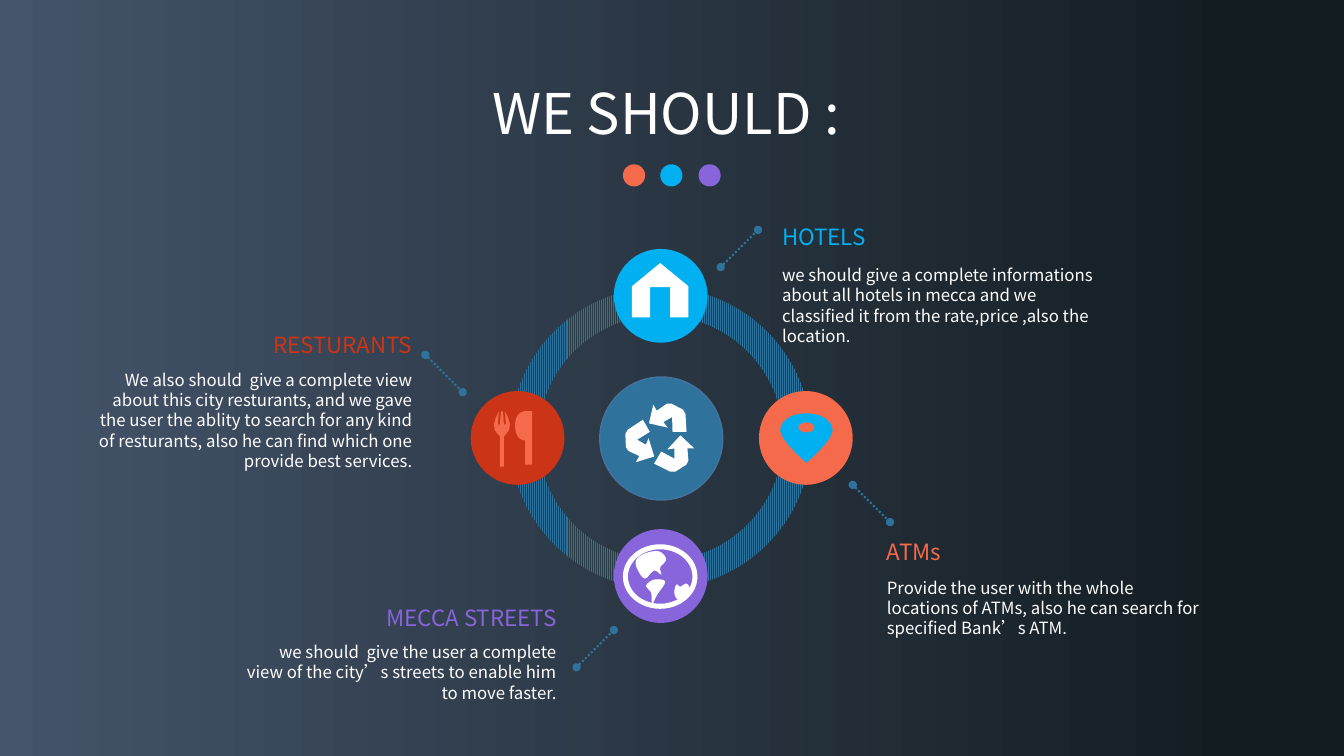
from collections import namedtuple
from copy import deepcopy
from math import cos, pi, sin

from lxml.etree import SubElement
from pptx import Presentation
from pptx.dml.color import RGBColor
from pptx.enum.dml import MSO_LINE as Dash, MSO_PATTERN as Pattern
from pptx.enum.shapes import MSO_CONNECTOR as Link, MSO_SHAPE as Form
from pptx.enum.text import MSO_ANCHOR as Anchor, MSO_AUTO_SIZE as Auto, PP_ALIGN as Align
from pptx.oxml.ns import qn
from pptx.util import Pt

PX = 9144
FONT = "Noto Sans CJK SC"
WHITE, STEEL, SKY = "FFFFFF", "2F729B", "00B0F0"
CORAL, VIOLET, RED = "F56A4A", "8865DB", "CB3416"
HUB = (656, 435)
LEAN = 37

Topic = namedtuple("Topic", "head hue disc dot slope edge top gap high align body")
TOPICS = [
    Topic("RESTURANTS", RED, (467, 388), (422, 352), 1, 419, 324, 38, 111, Align.RIGHT,
          "We also should  give a complete view about this city resturants, and we gave the user the "
          "ablity to search for any kind of resturants, also he can find which one provide best services."),
    Topic("MECCA STREETS", VIOLET, (609, 525), (572, 662), -1, 562, 594, 38, 71, Align.RIGHT,
          "we should  give the user a complete view of the city’s streets to enable him to move faster."),
    Topic("ATMs", CORAL, (753, 388), (846, 481), 1, 870, 529, 39, 71, Align.LEFT,
          "Provide the user with the whole locations of ATMs, also he can search for specified "
          "Bank’s ATM."),
    Topic("HOTELS", SKY, (609, 247), (715, 265), -1, 766, 216, 42, 91, Align.LEFT,
          "we should give a complete informations about all hotels in mecca and we classified it from "
          "the rate,price ,also the location."),
]


def tint(code):
    """Turn a hex string into a colour."""
    return RGBColor.from_string(code)


def bend(start, *curves, steps=8):
    """List the points along joined cubic curves."""
    points = [start]
    for one, two, end in curves:
        first = points[-1]
        for step in range(1, steps + 1):
            t = step / steps
            u = 1 - t
            points.append(tuple(u**3 * a + 3 * u * u * t * b + 3 * u * t * t * c + t**3 * d
                                for a, b, c, d in zip(first, one, two, end)))
    return points


def smooth(knots):
    """Round a closed outline through its knots."""
    curves = []
    for n, here in enumerate(knots):
        last, goal, after = (knots[(n + k) % len(knots)] for k in (-1, 1, 2))
        one = tuple(b + (c - a) / 6 for a, b, c in zip(last, here, goal))
        two = tuple(c - (d - b) / 6 for b, c, d in zip(here, goal, after))
        curves.append((one, two, goal))
    return bend(knots[0], *curves, steps=4)


def oval(x, y, wide, high, count=48):
    """List the points around an ellipse."""
    turns = [2 * pi * n / count for n in range(count)]
    return [(x + wide * cos(a), y + high * sin(a)) for a in turns]


def mirror(x, y, half):
    """Close a half outline by reflecting it across an upright axis."""
    return [(x + a, y + b) for a, b in half] + [(x - a, y + b) for a, b in reversed(half)]


def spin(x, y, path, count):
    """Repeat a path evenly around a centre."""
    turns = [2 * pi * n / count for n in range(count)]
    return [[(x + a * cos(t) - b * sin(t), y + a * sin(t) + b * cos(t)) for a, b in path]
            for t in turns]


class Board:
    """Draw styled elements on one slide."""

    def __init__(self, deck):
        """Add a blank slide to the deck."""
        self.slide = deck.slides.add_slide(deck.slide_layouts[6])
        self.shapes = self.slide.shapes

    def back(self, stops, angle):
        """Fill the background with a gradient."""
        fill = self.slide.background.fill
        fill.gradient()
        fill.gradient_angle = angle
        row = self.slide.element.find(".//" + qn("a:gsLst"))
        while len(row) < len(stops):
            row.append(deepcopy(row[0]))
        for stop, (place, code) in zip(fill.gradient_stops, stops):
            stop.position = place
            stop.color.rgb = tint(code)

    def paint(self, shape, code):
        """Give a shape a flat fill without line or shadow."""
        shape.shadow.inherit = False
        shape.fill.solid()
        shape.fill.fore_color.rgb = tint(code)
        shape.line.fill.background()
        return shape

    def disc(self, x, y, size, code, form=Form.OVAL):
        """Add a round shape."""
        shape = self.shapes.add_shape(form, x * PX, y * PX, size * PX, size * PX)
        return self.paint(shape, code)

    def ring(self, x, y, size, band, fore, back):
        """Add a striped ring."""
        shape = self.disc(x, y, size, fore, Form.DONUT)
        shape.adjustments[0] = band / size
        shape.fill.patterned()
        shape.fill.pattern = Pattern.NARROW_VERTICAL
        shape.fill.fore_color.rgb = tint(fore)
        shape.fill.back_color.rgb = tint(back)

    def icon(self, code, *paths):
        """Add a filled outline made of closed paths."""
        first, *rest = [[(x * PX, y * PX) for x, y in path] for path in paths]
        pen = self.shapes.build_freeform(*first[0])
        pen.add_line_segments(first[1:])
        for path in rest:
            pen.move_to(*path[0])
            pen.add_line_segments(path[1:])
        self.paint(pen.convert_to_shape(), code)

    def link(self, x, y, slope):
        """Add a dotted diagonal line with round ends."""
        ends = (x, y, x + LEAN, y + slope * LEAN)
        line = self.shapes.add_connector(Link.STRAIGHT, *(end * PX for end in ends))
        line.line.color.rgb = tint(STEEL)
        line.line.width = Pt(1.5)
        line.line.dash_style = Dash.ROUND_DOT
        props = line._element.spPr
        for end in ("a:headEnd", "a:tailEnd"):
            SubElement(props.find(qn("a:ln")), qn(end), type="oval")
        SubElement(props, qn("a:effectLst"))

    def text(self, words, x, y, wide, high, size, code, align):
        """Add a wrapped text box."""
        frame = self.shapes.add_textbox(x * PX, y * PX, wide * PX, high * PX).text_frame
        frame.word_wrap = True
        frame.auto_size = Auto.SHAPE_TO_FIT_TEXT
        para = frame.paragraphs[0]
        para.text = words
        para.alignment = align
        font = para.font
        font.name, font.size, font.color.rgb = FONT, Pt(size), tint(code)
        return frame

    def topic(self, item):
        """Add a topic's disc, link, heading and description."""
        self.disc(*item.disc, 93, item.hue)
        self.link(*item.dot, item.slope)
        low = item.top + item.gap
        for words, y, wide, high, size, hue in ((item.head, item.top, 198, 37, 16, item.hue),
                                                (item.body, low, 331, item.high, 12, WHITE)):
            left = item.edge - wide if item.align == Align.RIGHT else item.edge
            self.text(words, left, y, wide, high, size, hue, item.align)

    def cycle(self, x, y):
        """Add three arrows chasing each other."""
        tail = [(13, 20), (0, 13), (-7, 25), (9, 33), (14, 33), (25, 26), (27, 22), (26, 10)]
        head = [(33, 10), (19, -3), (6, 11), (13, 10)]
        self.icon(WHITE, *spin(x, y, tail + head, 3))

    def house(self, x, y):
        """Add a house with an open door, hung from its roof top."""
        self.icon(WHITE, mirror(x, y, [(0, 0), (28, 23), (28, 54), (10, 54), (10, 24)]))

    def pin(self, x, y):
        """Add a map pin with a hole, hung from its top."""
        half = bend((0, 0), ((14, 0), (26, 7), (26, 17)), ((26, 27), (0, 49), (0, 49)))
        self.icon(SKY, mirror(x, y, half), oval(x, y + 14, 8, 5))

    def meal(self, x, y):
        """Add a fork and a knife, hung from their tops."""
        prongs = [(1, 0), (2, 13), (4, 13), (3, 0), (6, 6), (8, 13), (7, 19)]
        self.icon(CORAL, mirror(x, y, prongs + [(2, 25), (2, 55)]))
        edge, back, neck = x + 13, x + 30, x + 23
        blade = bend((neck, y), ((neck, y), (edge, y), (edge, y + 14)),
                     ((edge, y + 28), (neck - 2, y + 29), (neck, y + 29)))
        self.icon(CORAL, blade + [(neck, y + 53), (back, y + 53), (back, y)])

    def globe(self, x, y):
        """Add a rimmed globe with rounded lands."""
        north = [(-24, -16), (-22, -6), (-15, 2), (-6, -6), (1, -2), (0, -9), (6, -17), (-1, -25), (-15, -23)]
        south = [(-14, 9), (-9, 16), (-8, 27), (-3, 18), (5, 5), (-6, 3)]
        east = [(29, 13), (26, 7), (20, 10), (16, 8), (14, 17), (19, 23)]
        self.icon(WHITE, oval(x, y, 37, 32), oval(x, y, 32, 27))
        for land in (north, south, east):
            self.icon(WHITE, smooth([(x + a, y + b) for a, b in land]))


def main():
    """Build and save the slide."""
    deck = Presentation()
    deck.slide_width, deck.slide_height = 12192000, 750 * PX
    board = Board(deck)
    board.back([(0, "131C21"), (0.08, "131C21"), (1, "44546A")], 180)
    for n, code in enumerate((CORAL, SKY, VIOLET)):
        board.disc(618 + 75 * n // 2, 163, 22, code)
    title = board.text("WE SHOULD : ", 92, 43, 1150, 145, 40, WHITE, Align.CENTER)
    title.auto_size = Auto.NONE
    title.vertical_anchor = Anchor.MIDDLE
    title.paragraphs[0].line_spacing = 0.9
    board.ring(506, 285, 299, 28, STEEL, "283C48")
    for item in TOPICS:
        board.topic(item)
    hub = board.disc(595, 374, 122, STEEL)
    hub.line.color.rgb = tint("43739E")
    hub.line.width = Pt(1)
    board.cycle(*HUB)
    board.house(655, 261)
    board.pin(800, 410)
    board.meal(498, 408)
    board.globe(655, 572)
    deck.save("out.pptx")


if __name__ == "__main__":
    main()
